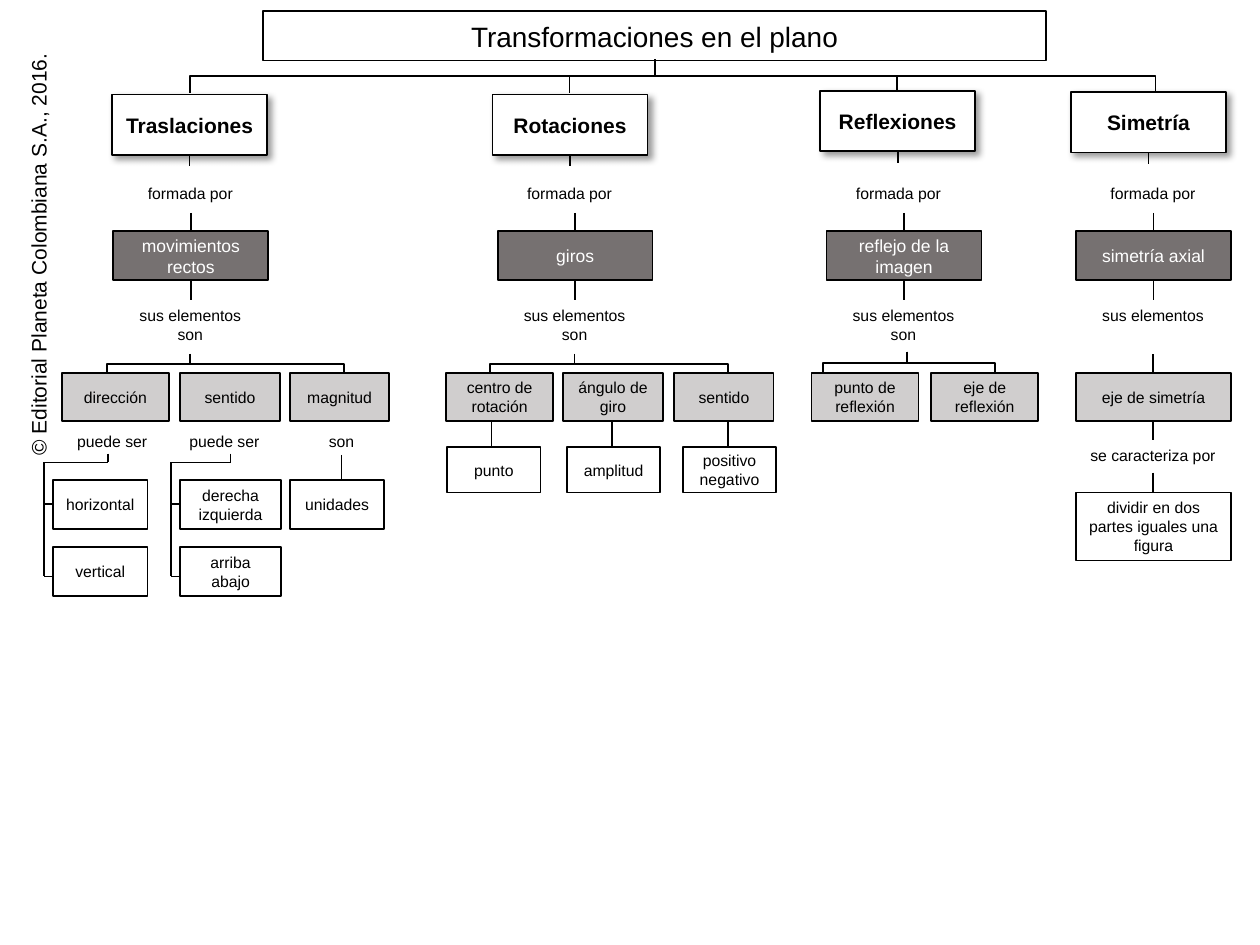
"""Build a concept map of the transformations of the plane."""
from dataclasses import dataclass

from lxml import etree
from pptx import Presentation
from pptx import util as u
from pptx.dml.color import RGBColor
from pptx.enum import shapes, text
from pptx.oxml import ns

BLACK = RGBColor(0x00, 0x00, 0x00)
WHITE = RGBColor(0xFF, 0xFF, 0xFF)
DARK_GRAY = RGBColor(0x76, 0x71, 0x71)
LIGHT_GRAY = RGBColor(0xD0, 0xCE, 0xCE)
FONT = "Arial"
CELL = u.Inches(0.1)

WIDE = 12.3
HEAD_HEIGHT, CORE_HEIGHT, PART_HEIGHT = 4.8, 3.9, 3.8
BUS_ROW, CORE_ROW, FAN_ROW, PART_ROW = 6.05, 18.35, 28.1, 29.6
FIRST_ROW, SECOND_ROW, LEAF_ROW = 38.1, 43.4, 35.5
LEAF_HEIGHT = 3.6


@dataclass
class Branch:
    """One transformation, with the columns and rows of its chain."""
    name: str
    head_column: float
    head_row: float
    link_column: float
    core: str
    core_column: float
    elements: str


BRANCHES = [
    Branch("Traslaciones", 8.9, 7.5, 9, "movimientos rectos", 9, "sus elementos son"),
    Branch("Rotaciones", 39.1, 7.5, 39.1, "giros", 39.5, "sus elementos son"),
    Branch("Reflexiones", 65.1, 7.2, 65.2, "reflejo de la imagen", 65.6, "sus elementos son"),
    Branch("Simetría", 85, 7.3, 85.4, "simetría axial", 85.4, "sus elementos"),
]
PARTS = [
    ("dirección", 4.9, 8.5), ("sentido", 14.3, 7.9), ("magnitud", 23, 7.9),
    ("centro de rotación", 35.4, 8.5), ("ángulo de giro", 44.7, 7.9),
    ("sentido", 53.5, 7.9), ("punto de reflexión", 64.4, 8.5),
    ("eje de reflexión", 73.9, 8.5), ("eje de simetría", 85.4, WIDE),
]
DETAILS = [
    ("horizontal", 4.2, FIRST_ROW, 7.5), ("vertical", 4.2, SECOND_ROW, 7.5),
    ("derecha\nizquierda", 14.3, FIRST_ROW, 8), ("arriba\nabajo", 14.3, SECOND_ROW, 8),
    ("unidades", 23, FIRST_ROW, 7.5),
]
LEAVES = [("punto", 35.5, 39), ("amplitud", 45, 48.6), ("positivo\nnegativo", 54.2, 57.8)]
LABELS = [("puede ser", 2.8, 33.8), ("puede ser", 11.7, 33.8),
          ("son", 21, 33.8), ("se caracteriza por", 85.4, 34.9)]
FANS = [(15.1, FAN_ROW, (8.5, 27.3)), (45.6, FAN_ROW, (38.9, 57.8)),
        (72, 27.9, (65.3, 79))]
BRACKETS = [(3.5, 8.6), (13.6, 18.3)]


def grid(*cells):
    """Turn grid cells into lengths."""
    return [round(cell * CELL) for cell in cells]


def write(shape, words, size, color=BLACK, bold=False):
    """Write centred words, with a line break at each newline."""
    paragraph = shape.text_frame.paragraphs[0]
    paragraph.alignment = text.PP_ALIGN.CENTER
    for index, line in enumerate(words.split("\n")):
        if index:
            paragraph.add_line_break()
        run = paragraph.add_run()
        run.text = line
        run.font.name = FONT
        run.font.size = u.Pt(size)
        run.font.bold = bold
        run.font.color.rgb = color


def outline(shape, fill):
    """Fill a shape, give it a black line and centre its text vertically."""
    shape.fill.solid()
    shape.fill.fore_color.rgb = fill
    shape.line.color.rgb = BLACK
    shape.line.width = u.Pt(1)
    shape.text_frame.word_wrap = True
    shape.text_frame.vertical_anchor = text.MSO_ANCHOR.MIDDLE


def add_box(slide, words, place, fill=WHITE, size=9, color=BLACK, bold=False):
    """Add an outlined rectangle with text."""
    shape = slide.shapes.add_shape(shapes.MSO_SHAPE.RECTANGLE, *grid(*place))
    shape.shadow.inherit = False
    outline(shape, fill)
    write(shape, words, size, color, bold)
    return shape


def add_label(slide, words, column, row, height=2.5):
    """Add a linking phrase."""
    box = slide.shapes.add_textbox(*grid(column, row, 12.2, height))
    box.text_frame.word_wrap = True
    box.text_frame.auto_size = text.MSO_AUTO_SIZE.SHAPE_TO_FIT_TEXT
    write(box, words, 9)


def add_shadow(shape):
    """Cast a soft shadow to the lower right."""
    effects = shape._element.spPr.find(ns.qn("a:effectLst"))
    shadow = etree.SubElement(effects, ns.qn("a:outerShdw"), blurRad="50800",
                              dist="38100", dir="2700000", algn="tl", rotWithShape="0")
    color = etree.SubElement(shadow, ns.qn("a:srgbClr"), val=str(BLACK))
    etree.SubElement(color, ns.qn("a:alpha"), val="40000")


def add_line(slide, start, end, kind=shapes.MSO_CONNECTOR.STRAIGHT):
    """Add a thin black connector without shadow."""
    connector = slide.shapes.add_connector(kind, *grid(*start, *end))
    connector.line.color.rgb = BLACK
    connector.line.width = u.Pt(1)
    etree.SubElement(connector._element.spPr, ns.qn("a:effectLst"))
    return connector


def add_elbow(slide, start, end):
    """Add an elbow that leaves downwards, by turning a sideways one."""
    across, down = end[0] - start[0], end[1] - start[1]
    middle, center = (start[0] + end[0]) / 2, (start[1] + end[1]) / 2
    half = down / 2 if across > 0 else -down / 2
    connector = add_line(slide, (middle + half, center - abs(across) / 2),
                         (middle - half, center + abs(across) / 2),
                         shapes.MSO_CONNECTOR.ELBOW)
    turn = 270 if across > 0 else 90
    connector._element.spPr.find(ns.qn("a:xfrm")).set("rot", str(turn * 60000))


def add_title(slide):
    """Place and format the title."""
    title = slide.shapes.title
    title.left, title.top, title.width, title.height = grid(20.9, 0.9, 62.1, 3.9)
    outline(title, WHITE)
    title.text_frame.auto_size = text.MSO_AUTO_SIZE.NONE
    write(title, "Transformaciones en el plano", 16)


def add_copyright(slide):
    """Add the copyright line along the left edge."""
    box = slide.shapes.add_textbox(*grid(-14, 18.7, 34.1, 3))
    box.rotation = 270
    box.text_frame.word_wrap = False
    write(box, "© Editorial Planeta Colombiana S.A., 2016.", 12)


def add_branch(slide, branch):
    """Add the head, core and linking phrases of a branch."""
    head = add_box(slide, branch.name, (branch.head_column, branch.head_row, WIDE, HEAD_HEIGHT),
                   size=12, bold=True)
    add_shadow(head)
    add_label(slide, "formada por", branch.link_column, 14.1)
    add_box(slide, branch.core, (branch.core_column, CORE_ROW, WIDE, CORE_HEIGHT),
            DARK_GRAY, 10, WHITE)
    add_label(slide, branch.elements, branch.core_column, 23.8,
              4 if branch.elements.endswith("son") else 2.5)
    head_middle = branch.head_column + WIDE / 2
    core_middle = branch.core_column + WIDE / 2
    head_end = branch.head_row + HEAD_HEIGHT
    for column, top, bottom in ((head_middle, head_end, head_end + 0.9),
                                (core_middle, 16.9, CORE_ROW),
                                (core_middle, CORE_ROW + CORE_HEIGHT, 23.8)):
        add_line(slide, (column, top), (column, bottom))


def add_bracket(slide, spine, stem):
    """Join a phrase to the two boxes stacked below it."""
    top, low = 36.7, 45.75
    add_line(slide, (stem, 36), (stem, top))
    add_line(slide, (spine, top), (stem, top))
    add_line(slide, (spine, top), (spine, low))
    for row in (40, low):
        add_line(slide, (spine, row), (spine + 0.7, row))


def main():
    """Build and save the slide."""
    presentation = Presentation()
    presentation.slide_width, presentation.slide_height = grid(100, 75)
    slide = presentation.slides.add_slide(presentation.slide_layouts[5])
    add_copyright(slide)
    add_title(slide)
    for column in (15.1, 45.2, 91.7):
        add_elbow(slide, (52, 4.7), (column, 7.4))
    add_line(slide, (71.2, BUS_ROW), (71.2, 7.2))
    for branch in BRANCHES:
        add_branch(slide, branch)
    for column, row, ends in FANS:
        for end in ends:
            add_elbow(slide, (column, row), (end, 29.7))
    for words, column, width in PARTS:
        add_box(slide, words, (column, PART_ROW, width, PART_HEIGHT), LIGHT_GRAY)
    for words, column, row, width in DETAILS:
        add_box(slide, words, (column, row, width, CORE_HEIGHT))
    for words, column, stem in LEAVES:
        add_box(slide, words, (column, LEAF_ROW, 7.4, LEAF_HEIGHT))
        add_line(slide, (stem, PART_ROW + PART_HEIGHT), (stem, LEAF_ROW))
    add_box(slide, "dividir en dos partes iguales una figura", (85.4, 39.1, WIDE, 5.4))
    for label in LABELS:
        add_label(slide, *label)
    for column, top, bottom in ((27.1, 36.1, 38.1), (91.5, 28.1, 29.7),
                                (91.5, 33.4, 34.9), (91.5, 37.5, 39.1)):
        add_line(slide, (column, top), (column, bottom))
    for bracket in BRACKETS:
        add_bracket(slide, *bracket)
    presentation.save("out.pptx")


if __name__ == "__main__":
    main()
